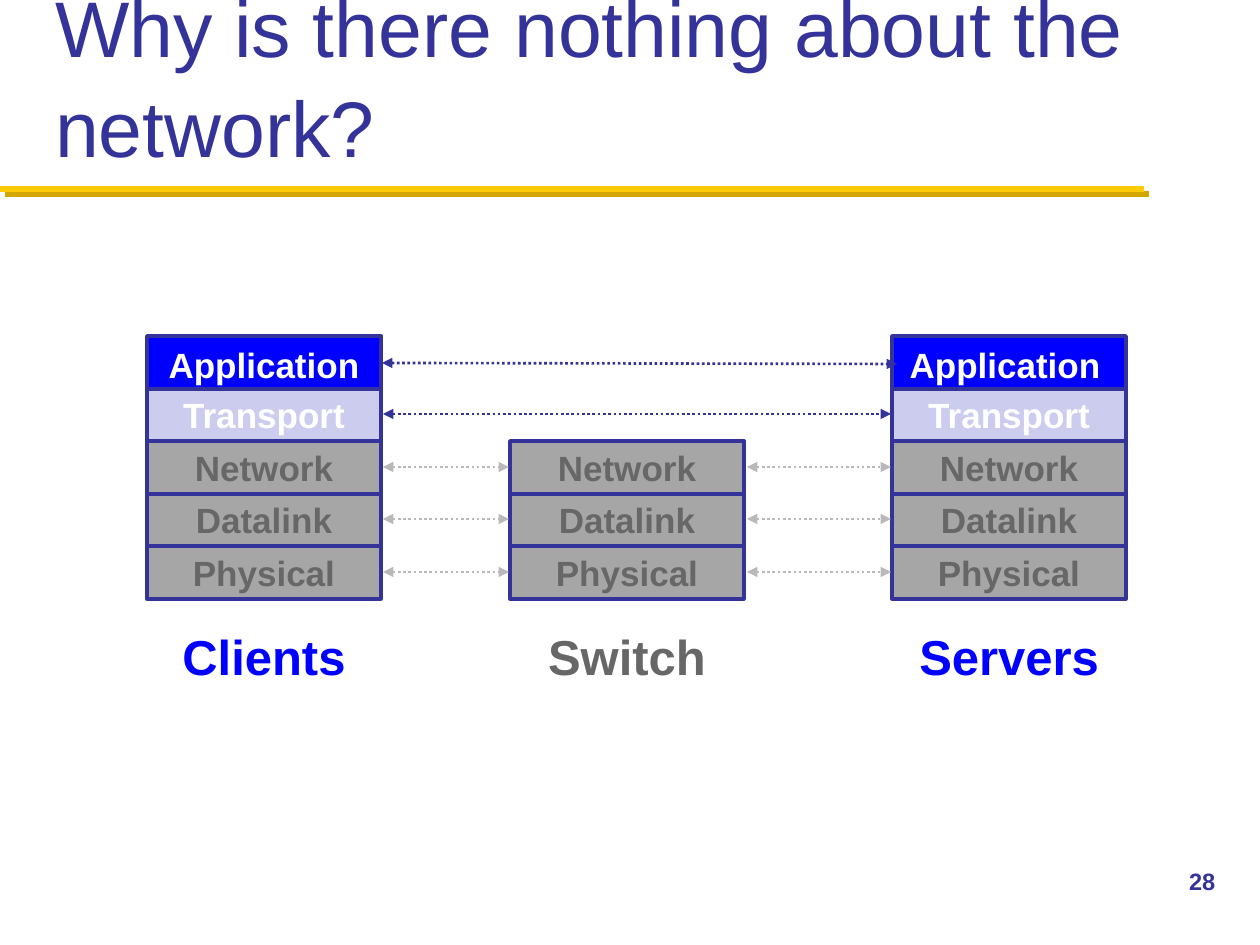
from lxml import etree
from pptx import Presentation
from pptx import util as u
from pptx.dml.color import RGBColor
from pptx.enum import dml, shapes, text
from pptx.oxml import ns

PX = 914400 / 126
HUES = {"navy": "333399", "gold": "FFCB05", "shade": "D3A600", "blue": "0000FF",
        "pale": "CCCCEE", "gray": "A6A6A6", "dark": "676767", "mist": "B9B9B9",
        "white": "FFFFFF"}


def write(words, x, y, w, h, size=20, hue="navy", bold=True, fill=None,
          align="CENTER", anchor="MIDDLE", pad=(0, 0, 0, 0), wrap=True, space=1):
    spot = [round(n * PX) for n in (x, y, w, h)]
    if fill:
        box = slide.shapes.add_shape(shapes.MSO_SHAPE.RECTANGLE, *spot)
        box.shadow.inherit = False
        box.fill.solid()
        box.fill.fore_color.rgb = RGBColor.from_string(HUES[fill])
        box.line.color.rgb = RGBColor.from_string(HUES["navy"])
        box.line.width = u.Pt(2)
    else:
        box = slide.shapes.add_textbox(*spot)
    frame = box.text_frame
    frame.word_wrap = wrap
    frame.vertical_anchor = text.MSO_ANCHOR[anchor]
    for side, gap in zip(("left", "top", "right", "bottom"), pad):
        setattr(frame, "margin_" + side, round(gap * PX))
    para = frame.paragraphs[0]
    para.alignment = text.PP_ALIGN[align]
    para.line_spacing = space
    run = para.add_run()
    run.text = words
    run.font.name = "Arial"
    run.font.size = u.Pt(size)
    run.font.bold = bold
    run.font.color.rgb = RGBColor.from_string(HUES[hue])


def draw(x1, y1, x2, y2, hue, width=1.5, arrow=True):
    ends = [round(n * PX) for n in (x1, y1, x2, y2)]
    link = slide.shapes.add_connector(shapes.MSO_CONNECTOR.STRAIGHT, *ends)
    link.line.color.rgb = RGBColor.from_string(HUES[hue])
    link.line.width = u.Pt(width)
    if arrow:
        link.line.dash_style = dml.MSO_LINE.ROUND_DOT
        for end in ("a:headEnd", "a:tailEnd"):
            etree.SubElement(link.line._ln, ns.qn(end), type="triangle")
    return etree.SubElement(link._element.spPr, ns.qn("a:effectLst"))


deck = Presentation()
deck.slide_width, deck.slide_height = u.Inches(10), u.Inches(7.5)
slide = deck.slides.add_slide(deck.slide_layouts[6])

glow = draw(0, 189, 1144, 189, "gold", width=3.5, arrow=False)
shade = etree.SubElement(glow, ns.qn("a:outerShdw"), dist=str(u.Pt(4.2)),
                         dir="2700000", algn="ctr", rotWithShape="0")
etree.SubElement(shade, ns.qn("a:srgbClr"), val=HUES["shade"])

write("Why is there nothing about the network?", 42, 21, 1176, 158, size=45,
      bold=False, align="LEFT", anchor="BOTTOM", pad=(13, 6, 13, 6), space=1.05)
write("28", 1176, 861, 84, 63, size=13.5, align="LEFT", anchor="TOP",
      pad=(13, 6, 13, 6))

layers = [("Application", "blue", "white"), ("Transport", "pale", "white"),
          ("Network", "gray", "dark"), ("Datalink", "gray", "dark"),
          ("Physical", "gray", "dark")]
tops = [336 + 105 * i // 2 for i in range(len(layers))]
wide, tall = 234, 53

stacks = [("Clients", 147, 0, "blue", 0), ("Switch", 510, 2, "dark", 0),
          ("Servers", 892, 0, "blue", 8)]
for name, left, first, hue, shift in stacks:
    for i in reversed(range(first, len(layers))):
        word, fill, ink = layers[i]
        pad = (0, 0, 0, 0) if i else (0, 4, shift, 0)
        write(word, left, tops[i], wide, tall, hue=ink, fill=fill, pad=pad, wrap=False)
    write(name, left, 620, wide, 72, size=28, hue=hue, wrap=False)

draw(382, 363, 897, 364, "navy")
draw(383, tops[1] + 26, 891, tops[1] + 26, "navy")
for top in tops[2:]:
    for start, end in ((383, 509), (747, 891)):
        draw(start, top + 26, end, top + 26, "mist")

deck.save("out.pptx")
